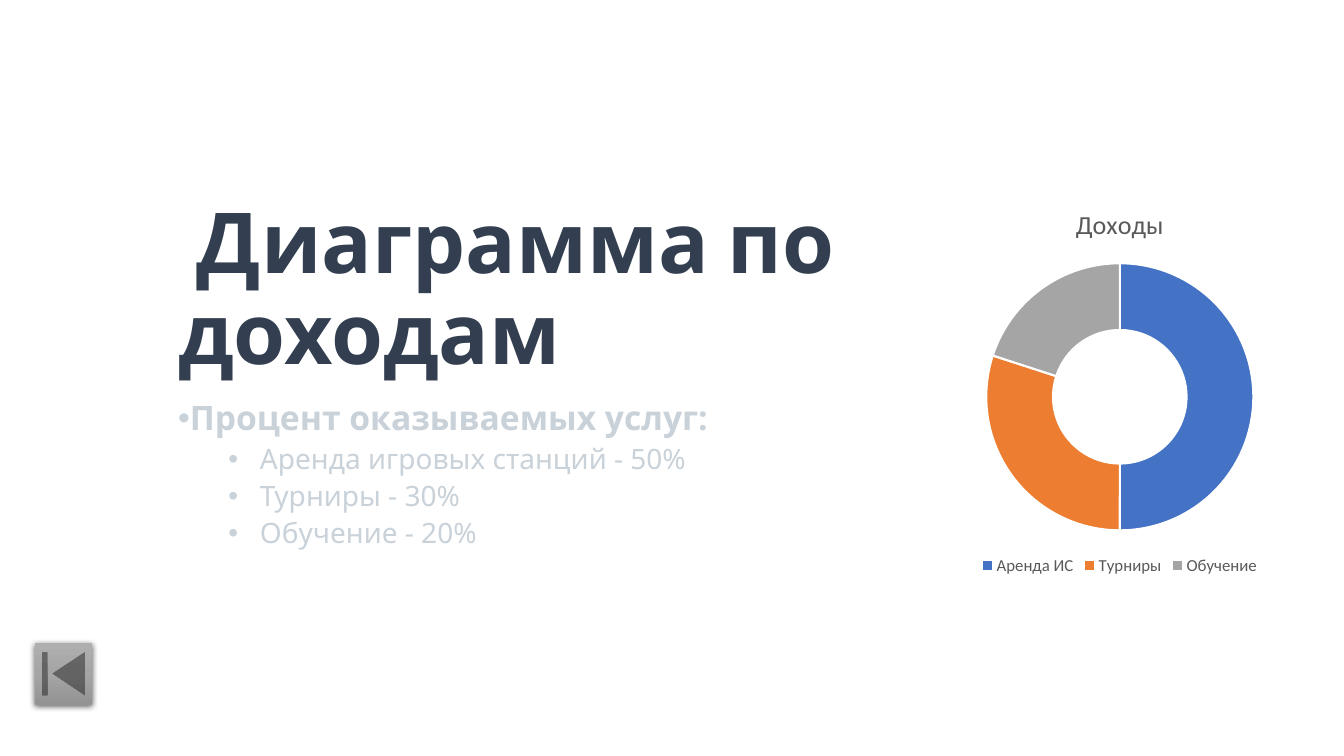
from copy import deepcopy
from dataclasses import dataclass

from lxml.etree import SubElement
from pptx import Presentation
from pptx.chart.data import CategoryChartData
from pptx.dml.color import RGBColor
from pptx.enum.chart import XL_CHART_TYPE as ChartType, XL_LEGEND_POSITION as LegendPos
from pptx.enum.shapes import MSO_SHAPE as Shape
from pptx.enum.text import MSO_ANCHOR as Anchor, MSO_AUTO_SIZE as AutoSize, PP_ALIGN as Align
from pptx.oxml.ns import qn
from pptx.util import Pt

EMU_PER_PX = 9525


@dataclass(frozen=True)
class Theme:
    title_font: str = "Cabin"
    body_font: str = "Noto Sans"
    chart_font: str = "Calibri"
    title: str = "333F50"
    body: str = "C9D1D9"
    label: str = "595959"
    white: str = "FFFFFF"
    shadow: str = "000000"
    slices: tuple = ("4472C4", "ED7D31", "A5A5A5")
    button: tuple = ("AFAFAF", "A5A5A5", "939393")
    title_size: float = 60
    lead_size: float = 24
    item_size: float = 20
    chart_title_size: float = 18.6
    legend_size: float = 12
    chart_size: float = 10


def px(*lengths):
    return [n * EMU_PER_PX for n in lengths]


def rgb(color):
    return RGBColor.from_string(color)


def style_font(font, name, size, color, bold=False):
    font.name, font.size, font.bold = name, Pt(size), bold
    font.color.rgb = rgb(color)


class Deck:
    def __init__(self, theme, width, height):
        self.theme = theme
        self.prs = Presentation()
        self.prs.slide_width, self.prs.slide_height = px(width, height)
        self.s = self.prs.slides.add_slide(self.prs.slide_layouts[0])

    def place(self, sp, box, anchor):
        sp.left, sp.top, sp.width, sp.height = px(*box)
        tf = sp.text_frame
        tf.word_wrap, tf.auto_size, tf.vertical_anchor = True, AutoSize.NONE, anchor
        return tf

    def add_text(self, p, text, font, size, color, bold=False, before=0):
        p.alignment, p.line_spacing, p.space_before = Align.LEFT, 0.9, Pt(before)
        r = p.add_run()
        r.text = text
        style_font(r.font, font, size, color, bold)

    def title(self, text, box):
        t = self.theme
        tf = self.place(self.s.shapes.title, box, Anchor.BOTTOM)
        self.add_text(tf.paragraphs[0], text, t.title_font, t.title_size, t.title, True)

    def bullet(self, p, margin, indent):
        pPr = p._p.get_or_add_pPr()
        left, hang = px(margin, indent)
        pPr.set("marL", str(left))
        pPr.set("indent", str(hang))
        SubElement(pPr, qn("a:buFont"), typeface="Arial")
        SubElement(pPr, qn("a:buChar"), char="•")

    def bullets(self, lead, items, box):
        t = self.theme
        tf = self.place(self.s.placeholders[1], box, Anchor.TOP)
        p = tf.paragraphs[0]
        self.bullet(p, 0, 0)
        self.add_text(p, lead, t.body_font, t.lead_size, t.body, True)
        for item in items:
            p = tf.add_paragraph()
            p.level = 1
            self.bullet(p, 78, -30)
            self.add_text(p, item, t.body_font, t.item_size, t.body, before=5)

    def doughnut(self, name, values, box, hole):
        t = self.theme
        data = CategoryChartData()
        data.categories = list(values)
        data.add_series(name, list(values.values()))
        chart = self.s.shapes.add_chart(ChartType.DOUGHNUT, *px(*box), data).chart
        chart.font.name, chart.font.size = t.chart_font, Pt(t.chart_size)
        chart.has_title = True
        r = chart.chart_title.text_frame.paragraphs[0].add_run()
        r.text = name
        style_font(r.font, t.chart_font, t.chart_title_size, t.label)
        chart.has_legend = True
        chart.legend.position = LegendPos.BOTTOM
        chart.legend.include_in_layout = False
        style_font(chart.legend.font, t.chart_font, t.legend_size, t.label)
        plot = chart.plots[0]
        plot.vary_by_categories = True
        plot._element.find(qn("c:holeSize")).set("val", str(hole))
        for i, color in enumerate(t.slices):
            fmt = plot.series[0].points[i].format
            fmt.fill.solid()
            fmt.fill.fore_color.rgb = rgb(color)
            fmt.line.color.rgb = rgb(t.white)
            fmt.line.width = Pt(1.5)

    def button(self, kind, box):
        sp = self.s.shapes.add_shape(kind, *px(*box))
        sp.line.fill.background()
        sp.fill.gradient()
        sp.fill.gradient_angle = 270
        first = sp._element.spPr.find(".//" + qn("a:gs"))
        first.addnext(deepcopy(first))
        for i, (stop, color) in enumerate(zip(sp.fill.gradient_stops, self.theme.button)):
            stop.position = i / 2
            stop.color.rgb = rgb(color)
        sp.shadow.inherit = False
        effects = sp._element.spPr.find(qn("a:effectLst"))
        shadow = SubElement(effects, qn("a:outerShdw"), blurRad=str(Pt(4.5)),
                            dist=str(Pt(1.5)), dir="5400000", algn="ctr", rotWithShape="0")
        color = SubElement(shadow, qn("a:srgbClr"), val=self.theme.shadow)
        SubElement(color, qn("a:alpha"), val="63000")


def main():
    deck = Deck(Theme(), 1280, 720)
    deck.title(" Диаграмма по доходам", (160, 118, 960, 251))
    deck.bullets("Процент оказываемых услуг:",
                 ("Аренда игровых станций - 50%", "Турниры - 30%", "Обучение - 20%"),
                 (160, 378, 960, 174))
    deck.doughnut("Доходы", {"Аренда ИС": 50, "Турниры": 30, "Обучение": 20},
                  (901, 179, 331, 373), 75)
    deck.button(Shape.ACTION_BUTTON_BEGINNING, (33, 612, 55, 59))
    deck.prs.save("out.pptx")


if __name__ == "__main__":
    main()
